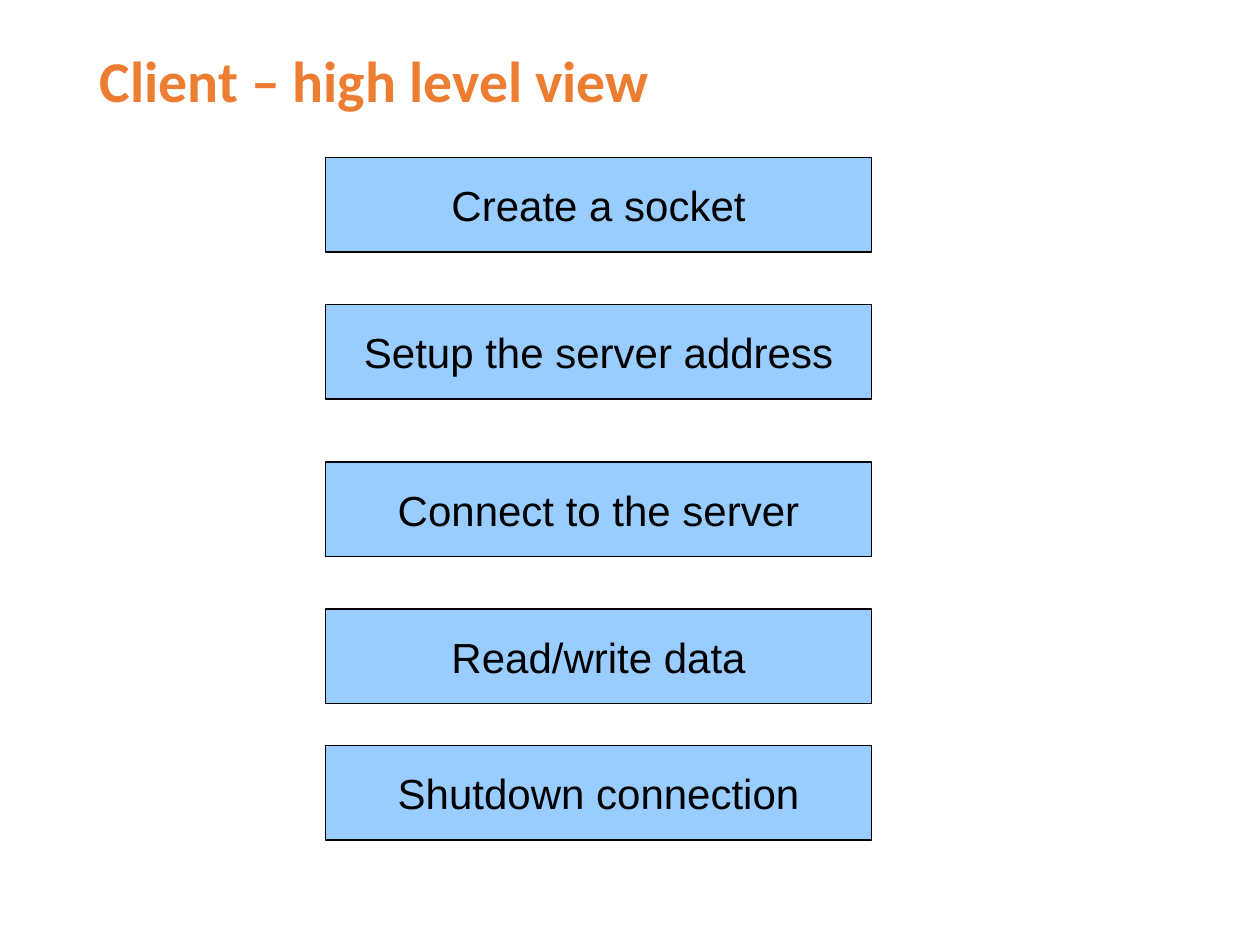
from dataclasses import dataclass

from pptx import Presentation
from pptx.dml.color import RGBColor as Rgb
from pptx.enum.shapes import MSO_SHAPE as Shape
from pptx.enum.text import MSO_ANCHOR as Anchor, PP_ALIGN as Align
from pptx.util import Emu, Inches, Pt

PX = Inches(1) // 120  # one px is 1/120 inch


@dataclass(frozen=True)
class Theme:
    accent: Rgb = Rgb(0xED, 0x7D, 0x31)
    step_fill: Rgb = Rgb(0x99, 0xCC, 0xFF)
    ink: Rgb = Rgb(0, 0, 0)
    title_font: str = "Calibri"
    step_font: str = "Arial"
    title_size: int = 33
    step_size: int = 24
    outline: float = 0.75


THEME = Theme()
STEP_HEIGHT = 90
# Each step with its distance from the top of the column
STEPS = [
    ("Create a socket", 0),
    ("Setup the server address", 140),
    ("Connect to the server", 290),
    ("Read/write data", 430),
    ("Shutdown connection", 560),
]


def px(length):
    return Emu(length * PX)


def write(frame, text, align, font, size, color, bold=False):
    frame.vertical_anchor = Anchor.MIDDLE
    para = frame.paragraphs[0]
    para.alignment = align
    span = para.add_run()
    span.text = text
    span.font.name = font
    span.font.size = Pt(size)
    span.font.bold = bold
    span.font.color.rgb = color
    return para


def add_title(page, box, text):
    title = page.shapes.title
    title.left, title.top, title.width, title.height = map(px, box)
    para = write(title.text_frame, text, Align.LEFT, THEME.title_font,
                 THEME.title_size, THEME.accent, bold=True)
    para.line_spacing = 0.9


def add_steps(page, box, steps):
    left, top, width, _ = box
    for text, offset in steps:
        step = page.shapes.add_shape(Shape.RECTANGLE, px(left), px(top + offset),
                                     px(width), px(STEP_HEIGHT))
        step.shadow.inherit = False
        step.fill.solid()
        step.fill.fore_color.rgb = THEME.step_fill
        step.line.color.rgb = THEME.ink
        step.line.width = Pt(THEME.outline)
        step.text_frame.word_wrap = False
        write(step.text_frame, text, Align.CENTER, THEME.step_font,
              THEME.step_size, THEME.ink)


def main():
    deck = Presentation()
    deck.slide_width, deck.slide_height = px(1200), px(900)
    page = deck.slides.add_slide(deck.slide_layouts[5])  # title only

    # Heading
    add_title(page, (83, 20, 1035, 120), "Client – high level view")
    # Column of client steps
    add_steps(page, (310, 150, 520, 650), STEPS)

    deck.save("out.pptx")


if __name__ == "__main__":
    main()
